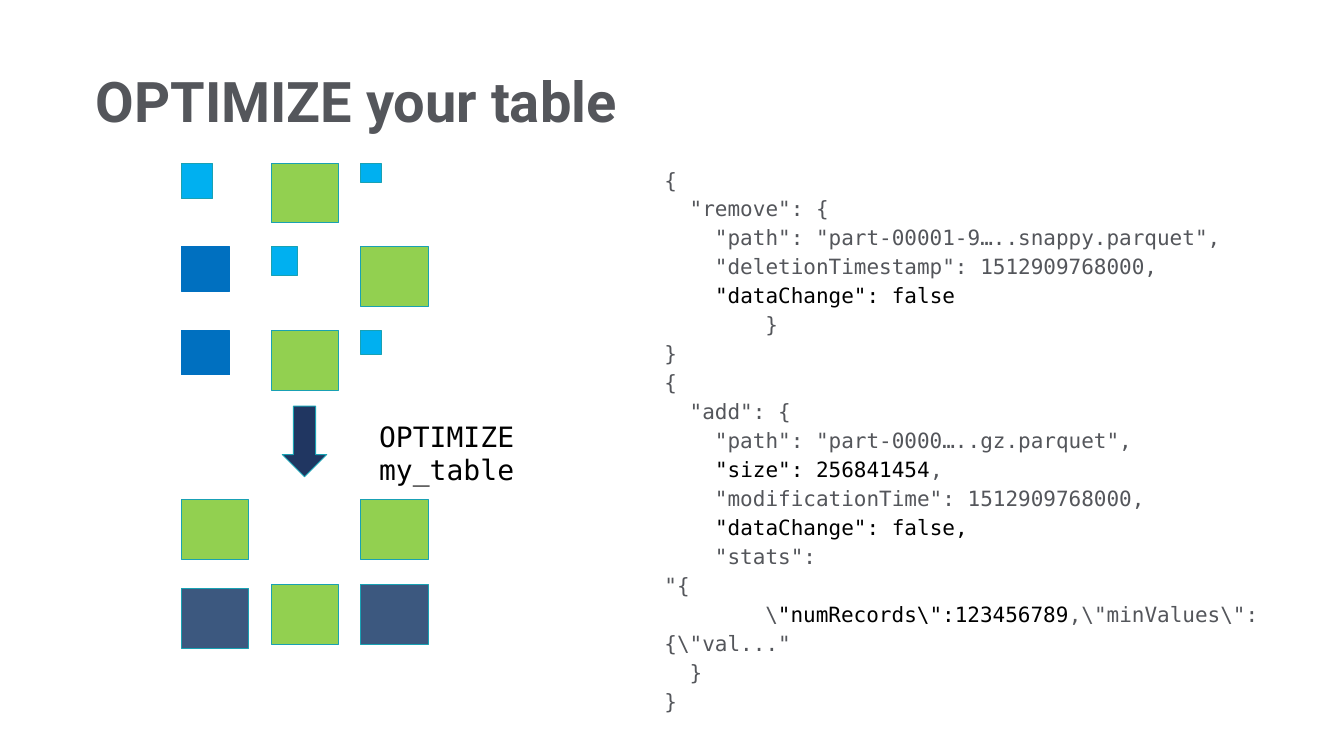
from dataclasses import dataclass

from lxml.etree import SubElement
from pptx import Presentation
from pptx.dml.color import RGBColor
from pptx.enum.shapes import MSO_SHAPE as Preset
from pptx.enum.text import MSO_ANCHOR as Anchor
from pptx.oxml.ns import qn
from pptx.util import Inches, Pt


@dataclass(frozen=True)
class Theme:
    heading_font: str = "Roboto"
    code_font: str = "DejaVu Sans Mono"
    title_size: int = 40
    command_size: int = 20
    code_size: int = 15
    gray: str = "54565B"
    black: str = "000000"
    teal: str = "19A1B3"
    green: str = "92D050"
    sky: str = "00B0F0"
    blue: str = "0070C0"
    navy: str = "203661"
    slate: str = "3C587F"


THEME = Theme()
COLUMN_PITCH = 0.89

# Each file: width, height, fill, outline
FULL = (0.67, 0.59, THEME.green, THEME.teal)
MERGED = (0.67, 0.59, THEME.slate, THEME.teal)
MEDIUM = (0.48, 0.44, THEME.blue, THEME.blue)


def small(width, height):
    return width, height, THEME.sky, THEME.teal


FILES_BEFORE = [
    [small(0.31, 0.35), FULL, small(0.2, 0.19)],
    [MEDIUM, small(0.26, 0.28), FULL],
    [MEDIUM, FULL, small(0.2, 0.24)],
]
FILES_AFTER = [
    [FULL, None, FULL],
    [None, FULL, MERGED],
]

# Each line: text before, highlighted text, text after
LOG_LINES = [
    ("{", "", ""),
    ('  "remove": {', "", ""),
    ('    "path": "part-00001-9…..snappy.parquet",', "", ""),
    ('    "deletionTimestamp": 1512909768000,', "", ""),
    ("    ", '"dataChange": false', ""),
    ("\t}", "", ""),
    ("}", "", ""),
    ("{", "", ""),
    ('  "add": {', "", ""),
    ('    "path": "part-0000…..gz.parquet",', "", ""),
    ("    ", '"size": 256841454', ","),
    ('    "modificationTime": 1512909768000,', "", ""),
    ("    ", '"dataChange": false,', ""),
    ('    "stats":', "", ""),
    ('"{', "", ""),
    ("\t\\", r'"numRecords\":123456789', r',\"minValues\":{\"val..."'),
    ("  }", "", ""),
    ("}", "", ""),
]


def add_span(para, text, font, size, color, bold=False):
    span = para.add_run()
    span.text = text
    span.font.name = font
    span.font.size = Pt(size)
    span.font.bold = bold
    span.font.color.rgb = RGBColor.from_string(color)


def add_tab_stop(para, position):
    tabs = SubElement(para._p.get_or_add_pPr(), qn("a:tabLst"))
    SubElement(tabs, qn("a:tab"), pos=str(Inches(position)), algn="l")


def add_text_box(page, left, top, width, height, margins=(0.13, 0.07)):
    """Add a wrapping, top-anchored box and return its first paragraph."""
    box = page.shapes.add_textbox(
        Inches(left), Inches(top), Inches(width), Inches(height))
    frame = box.text_frame
    frame.word_wrap = True
    frame.vertical_anchor = Anchor.TOP
    frame.margin_left = frame.margin_right = Inches(margins[0])
    frame.margin_top = frame.margin_bottom = Inches(margins[1])
    return frame.paragraphs[0]


def add_block(page, preset, left, top, width, height, fill, outline):
    block = page.shapes.add_shape(
        preset, Inches(left), Inches(top), Inches(width), Inches(height))
    block.shadow.inherit = False
    block.fill.solid()
    block.fill.fore_color.rgb = RGBColor.from_string(fill)
    block.line.color.rgb = RGBColor.from_string(outline)
    block.line.width = Pt(0.75)
    return block


def add_files(page, left, top, row_pitch, rows):
    """Place files on a grid, each at the top left of its cell."""
    for row, files in enumerate(rows):
        for column, file in enumerate(files):
            if file:
                add_block(page, Preset.RECTANGLE, left + column * COLUMN_PITCH,
                          top + row * row_pitch, *file)


def add_title(page, left, top, width, height):
    para = add_text_box(page, left, top, width, height)
    add_span(para, "OPTIMIZE your table", THEME.heading_font,
             THEME.title_size, THEME.gray, bold=True)


def add_compaction(page, left, top):
    """Draw the files before and after, with the command between them."""
    add_files(page, left, top, 0.83, FILES_BEFORE)
    arrow = add_block(page, Preset.RIGHT_ARROW, left + 0.87, top + 2.54,
                      0.7, 0.44, THEME.navy, THEME.teal)
    arrow.rotation = 90
    para = add_text_box(page, left + 1.83, top + 2.47, 2.87, 0.63)
    add_span(para, "OPTIMIZE my_table", THEME.code_font,
             THEME.command_size, THEME.black)
    add_files(page, left, top + 3.34, 0.84, FILES_AFTER)
    add_files(page, left, top + 4.22, 0, [[MERGED]])


def add_log(page, left, top, width, height):
    para = add_text_box(page, left, top, width, height, margins=(0, 0))
    add_tab_stop(para, 1)
    para.line_spacing = 1.15
    for number, parts in enumerate(LOG_LINES):
        if number:
            para.add_line_break()
        for text, color in zip(parts, (THEME.gray, THEME.black, THEME.gray)):
            if text:
                add_span(para, text, THEME.code_font, THEME.code_size, color)


def main():
    deck = Presentation()
    deck.slide_width = Inches(13.33)
    deck.slide_height = Inches(7.5)
    page = deck.slides.add_slide(deck.slide_layouts[6])
    add_title(page, 0.82, 0.59, 11.66, 0.64)
    add_compaction(page, 1.8, 1.62)
    add_log(page, 6.59, 1.62, 6.65, 4.54)
    deck.save("out.pptx")


if __name__ == "__main__":
    main()
